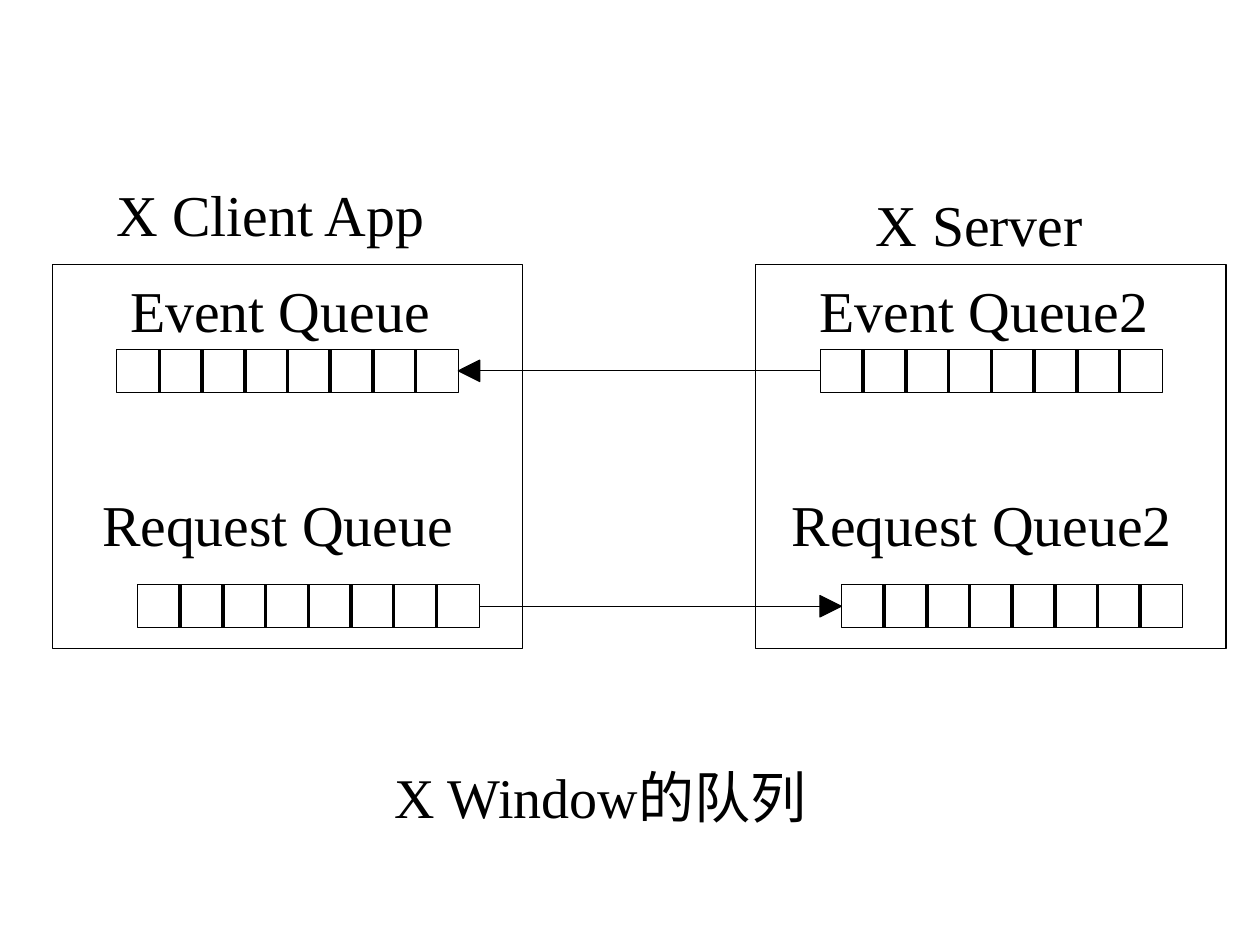
from lxml.etree import SubElement
from pptx import Presentation
from pptx.dml.color import RGBColor
from pptx.enum.shapes import MSO_CONNECTOR as Connector, MSO_SHAPE as Shape
from pptx.enum.text import MSO_AUTO_SIZE as AutoSize
from pptx.oxml.ns import qn
from pptx.util import Pt

COLORS = {"ink": "000000", "paper": "FFFFFF"}
FONT = "Times New Roman"
THIN, THICK = 0.62, 2
SERVER_OFFSET = 402.2
PANEL = (30.2, 151.2, 268.6, 219.6)
SERVER_PANEL_OFFSET = 401.8
QUEUE_WIDTH, QUEUE_HEIGHT, QUEUE_CELLS = 195.2, 24.5, 8
EVENT_QUEUE = (66.7, 199.7)
REQUEST_QUEUE = (78.6, 334.2)
HEAD = 12.3


def color(name):
    return RGBColor.from_string(COLORS[name])


def add_box(slide, left, top, width, height):
    shape = slide.shapes.add_shape(Shape.RECTANGLE, Pt(left), Pt(top), Pt(width), Pt(height))
    shape.shadow.inherit = False
    shape.fill.solid()
    shape.fill.fore_color.rgb = color("paper")
    shape.line.color.rgb = color("ink")
    shape.line.width = Pt(THIN)


def add_line(slide, start, end, width):
    line = slide.shapes.add_connector(Connector.STRAIGHT, *map(Pt, start + end))
    line.line.color.rgb = color("ink")
    line.line.width = Pt(width)
    SubElement(line._element.spPr, qn("a:effectLst"))


def add_queue(slide, left, top):
    add_box(slide, left, top, QUEUE_WIDTH, QUEUE_HEIGHT)
    for cell in range(1, QUEUE_CELLS):
        x = left + cell * QUEUE_WIDTH / QUEUE_CELLS
        add_line(slide, (x, top), (x, top + QUEUE_HEIGHT), THICK)


def add_arrow(slide, start, tip, y):
    base = tip - HEAD if tip > start else tip + HEAD
    add_line(slide, (start, y), (base, y), THIN)
    builder = slide.shapes.build_freeform(Pt(base), Pt(y - HEAD / 2))
    builder.add_line_segments([(Pt(base), Pt(y + HEAD / 2)), (Pt(tip), Pt(y))], close=True)
    head = builder.convert_to_shape()
    head.shadow.inherit = False
    head.fill.solid()
    head.fill.fore_color.rgb = color("ink")
    head.line.color.rgb = color("ink")
    head.line.width = Pt(THIN)


def add_label(slide, text, left, top, width, height=39.6, size=33, inset=(0, 0)):
    shape = slide.shapes.add_textbox(Pt(left), Pt(top), Pt(width), Pt(height))
    frame = shape.text_frame
    frame.word_wrap = False
    frame.auto_size = AutoSize.SHAPE_TO_FIT_TEXT
    frame.margin_left = frame.margin_right = Pt(inset[0])
    frame.margin_top = frame.margin_bottom = Pt(inset[1])
    paragraph = frame.paragraphs[0]
    paragraph.text = text
    paragraph.font.name = FONT
    paragraph.font.size = Pt(size)
    paragraph.font.color.rgb = color("ink")


def add_program(slide, panel_offset, queue_offset, labels):
    left, *rest = PANEL
    add_box(slide, left + panel_offset, *rest)
    for x, y in (EVENT_QUEUE, REQUEST_QUEUE):
        add_queue(slide, x + queue_offset, y)
    for label in labels:
        add_label(slide, *label)


def main():
    """Build the slide on the event and request queues of X Window."""
    presentation = Presentation()
    presentation.slide_width, presentation.slide_height = Pt(720), Pt(540)
    slide = presentation.slides.add_slide(presentation.slide_layouts[6])

    add_program(slide, 0, 0, [
        ("X Client App", 66.4, 102.2, 179),
        ("Event Queue", 74.3, 157, 173),
        ("Request Queue", 58.3, 279.4, 203),
    ])
    add_program(slide, SERVER_PANEL_OFFSET, SERVER_OFFSET, [
        ("X Server", 500.5, 108, 121),
        ("Event Queue2", 468.3, 157, 190),
        ("Request Queue2", 452.5, 279.4, 219),
    ])

    event_x, event_y = EVENT_QUEUE
    request_x, request_y = REQUEST_QUEUE
    middle = QUEUE_HEIGHT / 2
    add_arrow(slide, event_x + SERVER_OFFSET, event_x + QUEUE_WIDTH, event_y + middle)
    add_arrow(slide, request_x + QUEUE_WIDTH, request_x + SERVER_OFFSET, request_y + middle)
    add_label(slide, "X Window的队列", 218.2, 432, 259.2, 46.1, 32, (7.2, 3.6))

    presentation.save("out.pptx")


if __name__ == "__main__":
    main()
